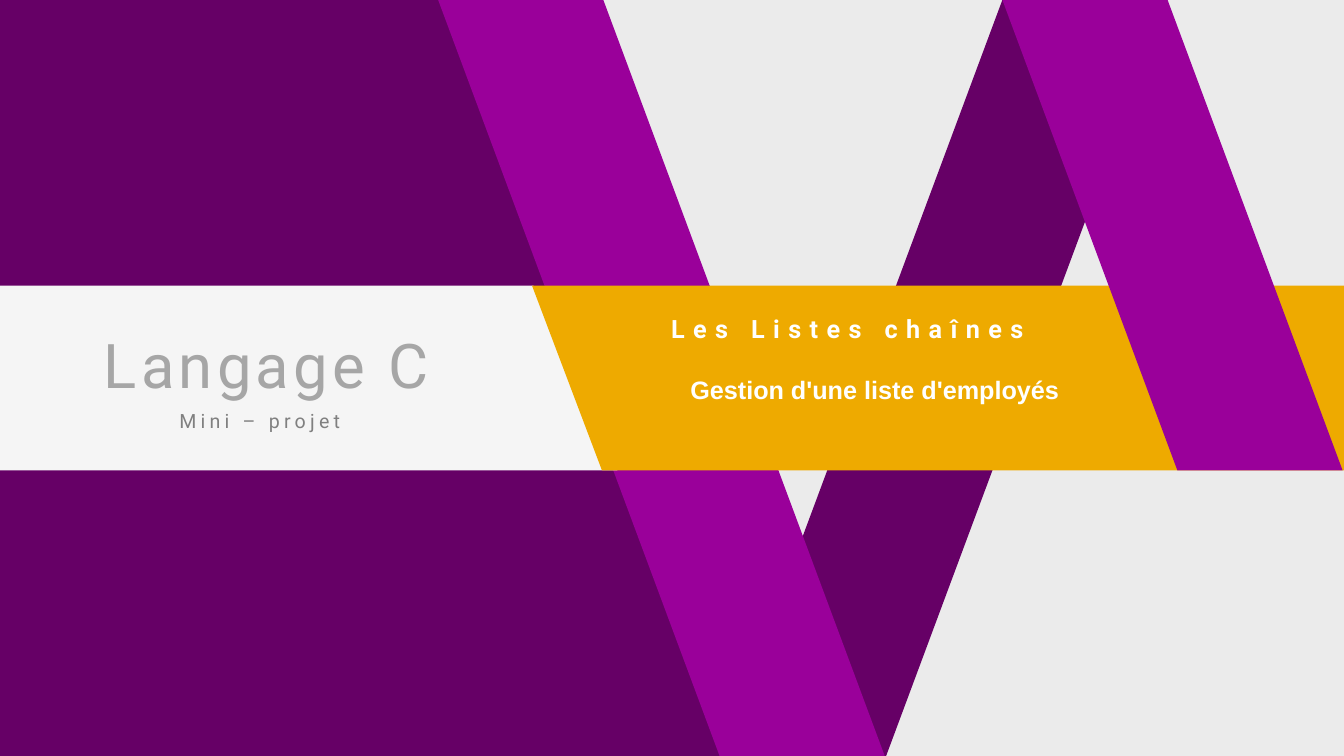
"""Build the cover slide of a C language mini-project on linked lists."""
from pptx import Presentation
from pptx.dml.color import RGBColor
from pptx.enum.text import MSO_ANCHOR, MSO_AUTO_SIZE, PP_ALIGN
from pptx.util import Pt

TOP = MSO_ANCHOR.TOP
NO_FIT = MSO_AUTO_SIZE.NONE
LEFT, JUSTIFY = PP_ALIGN.LEFT, PP_ALIGN.JUSTIFY

WIDTH, HEIGHT = 960, 540
BAND_TOP, BAND_BOTTOM = 203.8, 336.2
RIBBON = 118.1
SLOPE = 0.372
BACKGROUND, DARK, BRIGHT = "EBEBEB", "660066", "9A009A"
PALE, GOLD = "F5F5F5", "EEAA00"

TITLE = ("Langage C", 67, 229.7, 288, 60.5, 44, "Roboto", "A6A6A6", False, 3, LEFT)
LABELS = [
    ("Mini – projet", 121, 288.7, 249, 24.5, 14, "Roboto", "808080", False, 3, LEFT),
    ("Les Listes chaînes", 472.3, 220.3, 429, 28.8, 18, "Roboto", "FFFFFF", True, 6, LEFT),
    ("Gestion d'une liste d'employés", 486, 263.5, 420, 28.8, 18, "Arial", "FFFFFF", True, 0, JUSTIFY),
]


def rgb(value):
    return RGBColor.from_string(value)


def ribbon(left, bottom=HEIGHT, slope=SLOPE):
    foot = left + slope * bottom
    return [(left, 0), (left + RIBBON, 0), (foot + RIBBON, bottom), (foot, bottom)]


def band(left, right, lean_left=0, lean_right=0):
    depth = BAND_BOTTOM - BAND_TOP
    return [(left, BAND_TOP), (right, BAND_TOP),
            (right + lean_right * depth, BAND_BOTTOM), (left + lean_left * depth, BAND_BOTTOM)]


OUTLINES = [
    (ribbon(715.7, slope=-SLOPE), DARK),
    ([(0, 0), (313.9, 0), (313.9 + SLOPE * HEIGHT, HEIGHT), (0, HEIGHT)], DARK),
    (ribbon(313.2), BRIGHT),
    (band(0, 381, lean_right=0.45), PALE),
    (band(380.5, WIDTH, lean_left=0.376), GOLD),
    (ribbon(716.2, BAND_BOTTOM), BRIGHT),
]


def add_outline(slide, points, color):
    builder = slide.shapes.build_freeform(*points[0], scale=Pt(1))
    builder.add_line_segments(points[1:], close=True)
    shape = builder.convert_to_shape()
    shape.shadow.inherit = False
    shape.fill.solid()
    shape.fill.fore_color.rgb = rgb(color)
    shape.line.fill.background()


def write_label(shape, label):
    text, left, top, width, height, size, font, color, bold, spacing, align = label
    shape.left, shape.top, shape.width, shape.height = map(Pt, (left, top, width, height))
    frame = shape.text_frame
    frame.word_wrap = True
    frame.auto_size = NO_FIT
    frame.vertical_anchor = TOP
    paragraph = frame.paragraphs[0]
    paragraph.alignment = align
    run = paragraph.add_run()
    run.text = text
    run.font.size = Pt(size)
    run.font.name = font
    run.font.bold = bold
    run.font.color.rgb = rgb(color)
    if spacing:
        run.font._element.set("spc", str(spacing * 100))


def main():
    presentation = Presentation()
    presentation.slide_width, presentation.slide_height = Pt(WIDTH), Pt(HEIGHT)
    slide = presentation.slides.add_slide(presentation.slide_layouts[5])
    slide.background.fill.solid()
    slide.background.fill.fore_color.rgb = rgb(BACKGROUND)
    for points, color in OUTLINES:
        add_outline(slide, points, color)
    title = slide.shapes.title
    slide.shapes._spTree.append(title._element)
    write_label(title, TITLE)
    for label in LABELS:
        write_label(slide.shapes.add_textbox(0, 0, 0, 0), label)
    presentation.save("out.pptx")


if __name__ == "__main__":
    main()
